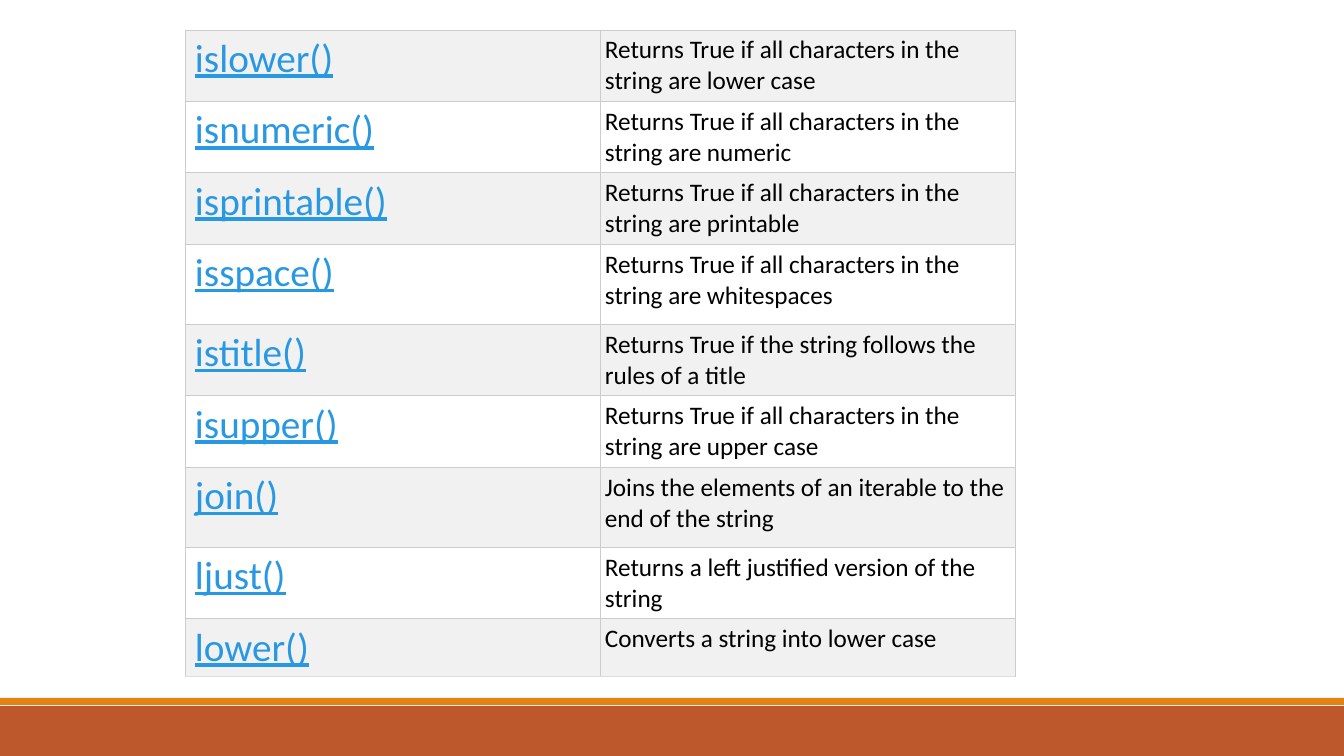
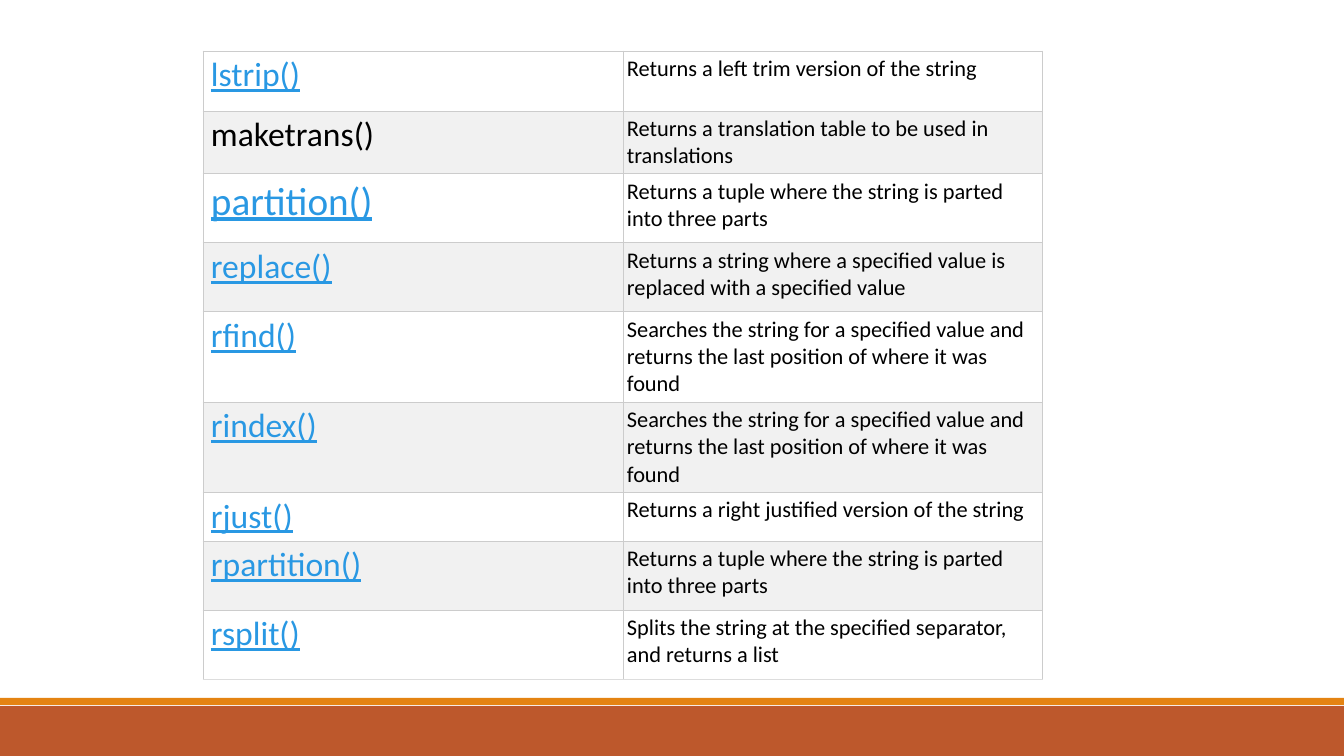
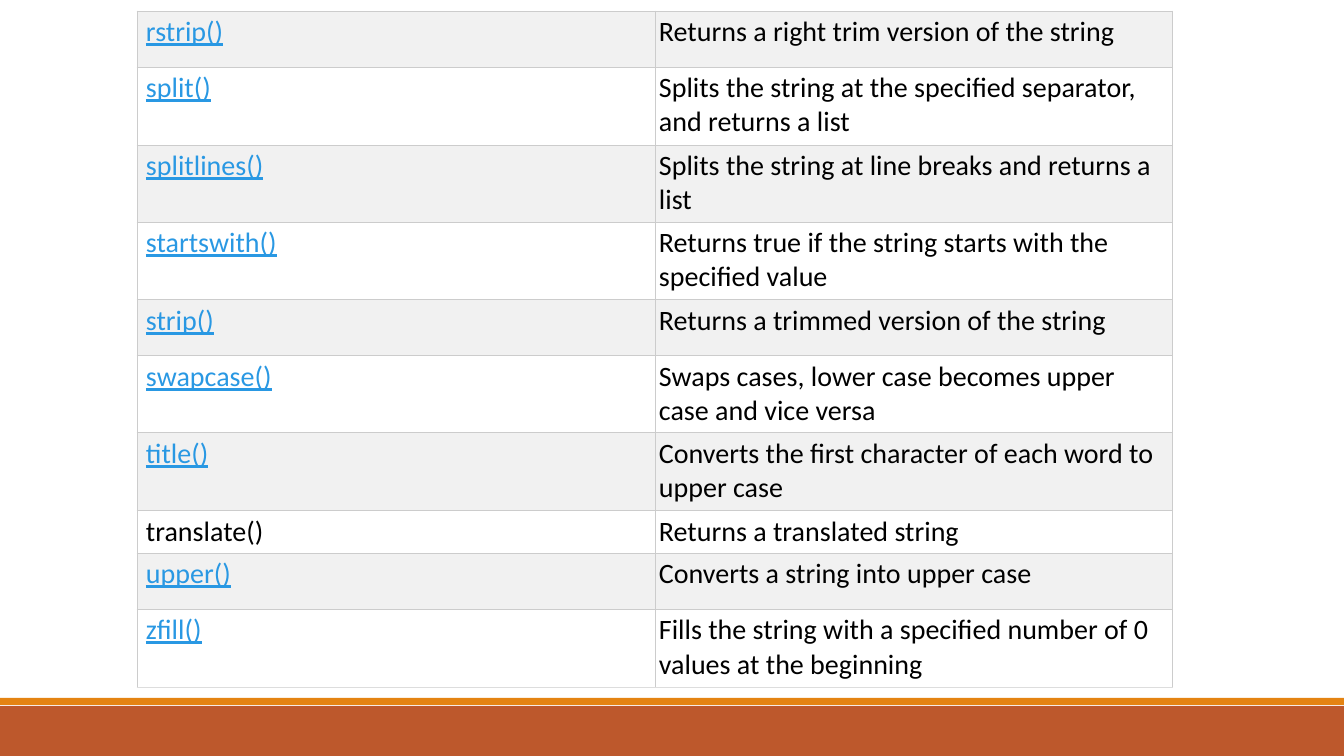
import pptx
import pptx.util
import pptx.dml.color
import pptx.enum.shapes
import pptx.oxml
import pptx.oxml.ns

RGB = pptx.dml.color.RGBColor
RUST = RGB(0xBD, 0x58, 0x2C)
AMBER = RGB(0xE4, 0x83, 0x12)
LINK = RGB(0x29, 0x98, 0xE3)
BLACK = RGB(0, 0, 0)
WHITE = RGB(255, 255, 255)
GREY = RGB(0xF1, 0xF1, 0xF1)
EDGE = RGB(0xCC, 0xCC, 0xCC)
FOOT = RGB(0xDD, 0xDD, 0xDD)
FONT = "Calibri"
WIDE, HIGH = 1344, 756
SCALE = 12192000 / WIDE
NS = pptx.oxml.ns.nsdecls("a")
PLAIN = ("maketrans()", "translate()")
LARGE = ("partition()",)

# Each row: height, method, description
LOWER = [
    (71, "islower()", "Returns True if all characters in the string are lower case"),
    (71, "isnumeric()", "Returns True if all characters in the string are numeric"),
    (71, "isprintable()", "Returns True if all characters in the string are printable"),
    (80, "isspace()", "Returns True if all characters in the string are whitespaces"),
    (71, "istitle()", "Returns True if the string follows the rules of a title"),
    (71, "isupper()", "Returns True if all characters in the string are upper case"),
    (80, "join()", "Joins the elements of an iterable to the end of the string"),
    (71, "ljust()", "Returns a left justified version of the string"),
    (58, "lower()", "Converts a string into lower case"),
]
STRIP = [
    (60, "lstrip()", "Returns a left trim version of the string"),
    (63, "maketrans()", "Returns a translation table to be used in translations"),
    (69, "partition()", "Returns a tuple where the string is parted into three parts"),
    (69, "replace()",
     "Returns a string where a specified value is replaced with a specified value"),
    (90, "rfind()", "Searches the string for a specified value "
     "and returns the last position of where it was found"),
    (90, "rindex()", "Searches the string for a specified value "
     "and returns the last position of where it was found"),
    (49, "rjust()", "Returns a right justified version of the string"),
    (69, "rpartition()", "Returns a tuple where the string is parted into three parts"),
    (69, "rsplit()", "Splits the string at the specified separator, and returns a list"),
]
SPLIT = [
    (56, "rstrip()", "Returns a right trim version of the string"),
    (78, "split()", "Splits the string at the specified separator, and returns a list"),
    (77, "splitlines()", "Splits the string at line breaks and returns a list"),
    (78, "startswith()", "Returns true if the string starts with the specified value"),
    (56, "strip()", "Returns a trimmed version of the string"),
    (77, "swapcase()", "Swaps cases, lower case becomes upper case and vice versa"),
    (78, "title()", "Converts the first character of each word to upper case"),
    (42, "translate()", "Returns a translated string"),
    (56, "upper()", "Converts a string into upper case"),
    (78, "zfill()",
     "Fills the string with a specified number of 0 values at the beginning"),
]


def px(size):
    return pptx.util.Emu(round(size * SCALE))


class Deck:
    def __init__(self):
        self.show = pptx.Presentation()
        self.show.slide_width, self.show.slide_height = px(WIDE), px(HIGH)
        self.slide = None
        self.count = 0

    def page(self):
        """Start a slide with the two bands at its foot."""
        self.slide = self.show.slides.add_slide(self.show.slide_layouts[6])
        self.band(706, 50, RUST)
        self.band(698, 7, AMBER)

    def band(self, top, high, color):
        kind = pptx.enum.shapes.MSO_SHAPE.RECTANGLE
        bar = self.slide.shapes.add_shape(kind, 0, px(top), px(WIDE), px(high))
        bar.shadow.inherit = False
        bar.fill.solid()
        bar.fill.fore_color.rgb = color
        bar.line.fill.background()

    def table(self, left, top, wide, rows, sizes, pad, inset):
        """Draw method rows; the stripes run on from table to table."""
        high = sum(row[0] for row in rows)
        grid = self.slide.shapes.add_table(
            len(rows), 2, px(left), px(top), px(wide), px(high)).table
        grid.first_row = grid.horz_banding = False
        for col in grid.columns:
            col.width = px(wide / 2)
        for i, (tall, name, note) in enumerate(rows):
            grid.rows[i].height = px(tall)
            fill = WHITE if self.count % 2 else GREY
            self.count += 1
            base = FOOT if i == len(rows) - 1 else EDGE
            link = name not in PLAIN
            size = 28 if name in LARGE else sizes[0]
            first, last = grid.cell(i, 0), grid.cell(i, 1)
            self.cell(first, name, size, link, pad, inset, fill, base)
            self.cell(last, note, sizes[1], False, inset, inset, fill, base)

    def cell(self, cell, text, size, link, left, inset, fill, base):
        cell.margin_left = px(left)
        cell.margin_top = cell.margin_right = cell.margin_bottom = px(inset)
        self.edges(cell, base)
        cell.fill.solid()
        cell.fill.fore_color.rgb = fill
        cell.text_frame.text = text
        font = cell.text_frame.paragraphs[0].runs[0].font
        font.name, font.size = FONT, pptx.util.Pt(size)
        font.color.rgb = LINK if link else BLACK
        font.underline = link

    def edges(self, cell, base):
        props = cell._tc.get_or_add_tcPr()
        for side, color in zip("LRTB", (EDGE, EDGE, EDGE, base)):
            props.append(pptx.oxml.parse_xml(
                f'<a:ln{side} {NS} w="9525"><a:solidFill>'
                f'<a:srgbClr val="{color}"/></a:solidFill></a:ln{side}>'))


def main():
    deck = Deck()
    for plan in (
        (185, 30, 830, LOWER, (28, 18), 10, 5),
        (203, 51, 840, STRIP, (24, 16), 8, 4),
        (137, 11, 1036, SPLIT, (20, 20), 9, 4),
    ):
        deck.page()
        deck.table(*plan)
    deck.show.save("out.pptx")


if __name__ == "__main__":
    main()
